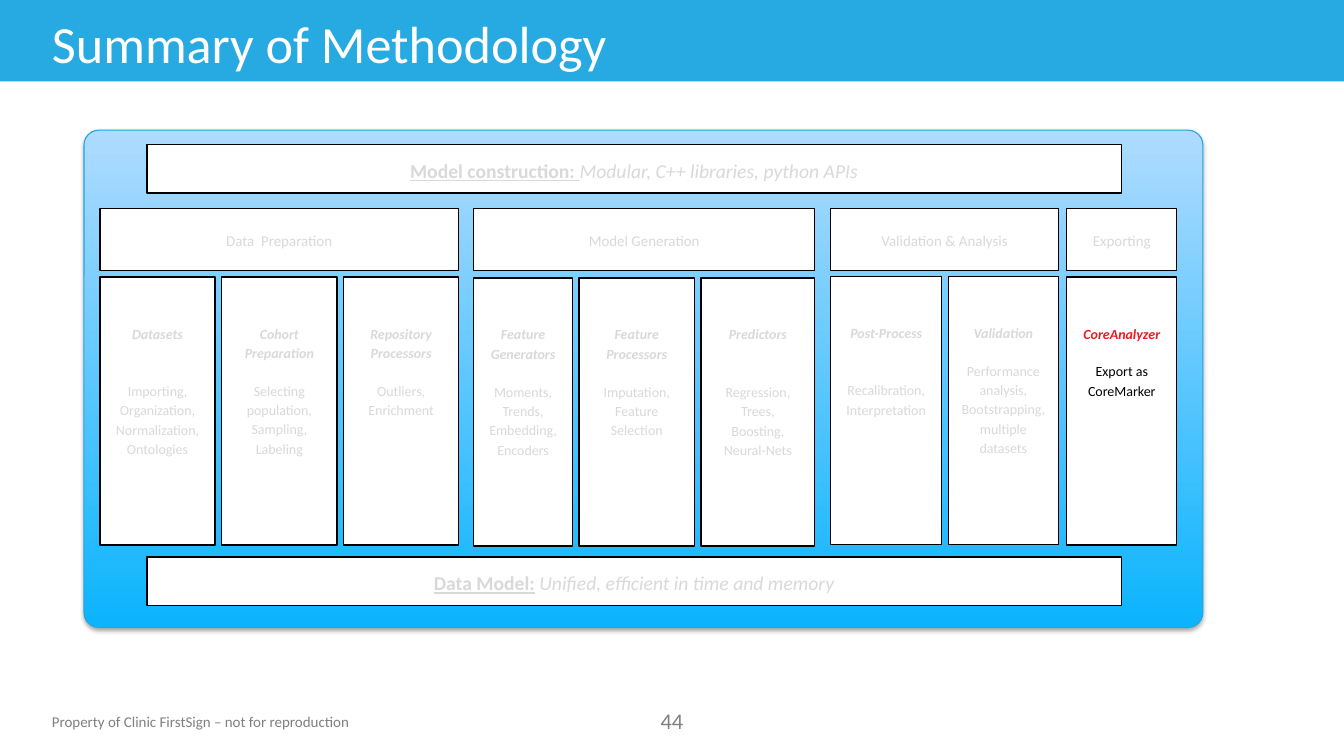
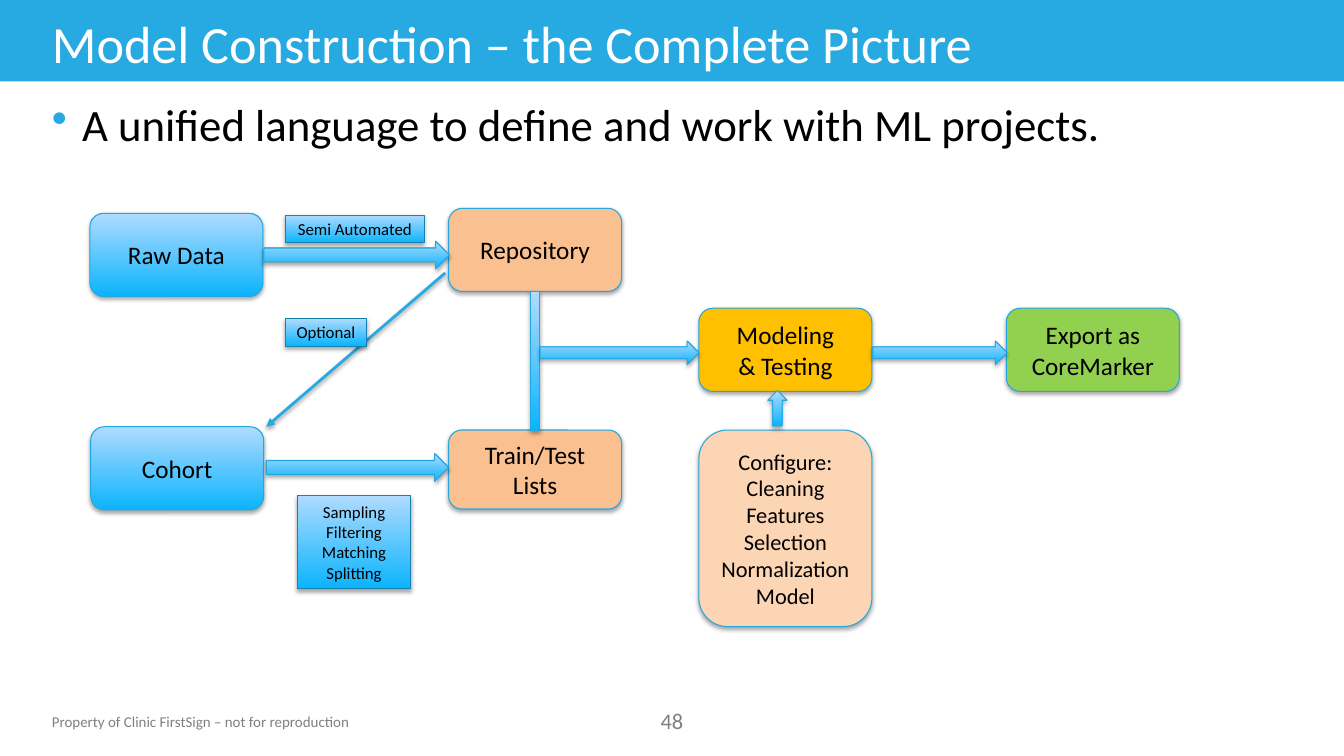
from lxml import etree
from pptx import Presentation
from pptx.dml.color import RGBColor
from pptx.enum.shapes import MSO_CONNECTOR, MSO_SHAPE
from pptx.enum.text import MSO_ANCHOR, PP_ALIGN
from pptx.oxml.ns import qn
from pptx.util import Emu, Inches, Pt

RECT, ROUND = MSO_SHAPE.RECTANGLE, MSO_SHAPE.ROUNDED_RECTANGLE
RIGHT, UP = MSO_SHAPE.RIGHT_ARROW, MSO_SHAPE.UP_ARROW
STRAIGHT = MSO_CONNECTOR.STRAIGHT
TOP, MIDDLE = MSO_ANCHOR.TOP, MSO_ANCHOR.MIDDLE
LEFT, CENTER = PP_ALIGN.LEFT, PP_ALIGN.CENTER

COLORS = {
    "band": "27A9E1", "edge": "22A7E1", "label_edge": "1881AE",
    "deep": "0BB4FD", "pale": "AFDBFF", "white": "FFFFFF", "black": "000000",
    "faded": "D9D9D9", "grey": "808080", "red": "ED1C24",
    "orange": "FAC090", "peach": "FCD5B5", "gold": "FFC000", "green": "92D050",
}
FONT = "Calibri"
GRID_COLS, GRID_ROWS = 160, 90
HEADING = {"bold": True, "italic": True}
LEAD = {"bold": True, "underline": True}
NOTE = {"italic": True}


class Deck:
    """Holds the style and the current slide, measured in grid cells."""

    def __init__(self):
        self.prs = Presentation()
        self.prs.slide_width, self.prs.slide_height = Inches(13.33), Inches(7.5)
        self.slide = None

    def x(self, cols):
        return Emu(round(cols * self.prs.slide_width / GRID_COLS))

    def y(self, rows):
        return Emu(round(rows * self.prs.slide_height / GRID_ROWS))

    def place(self, col, row, cols, rows):
        return self.x(col), self.y(row), self.x(cols), self.y(rows)

    def color(self, name):
        return RGBColor.from_string(COLORS[name])

    def new_slide(self, title, number):
        self.slide = self.prs.slides.add_slide(self.prs.slide_layouts[6])
        self.shape((0, 0, GRID_COLS, 9.7), fill="band")
        self.text((5, 84.2, 40, 3.4), "Property of Clinic FirstSign – not for reproduction",
                  10.7, "grey")
        self.text((75, 83.6, 10, 4.4), str(number), 16, "grey", align=CENTER)
        self.text((5, 0.7, 133.2, 8.8), title, 37.3, "white", anchor=MIDDLE)

    def set_text(self, tf, paragraphs, size, color, align=CENTER, anchor=MIDDLE, **spacing):
        tf.word_wrap = True
        tf.vertical_anchor = anchor
        for i, runs in enumerate(paragraphs):
            p = tf.paragraphs[0] if i == 0 else tf.add_paragraph()
            p.alignment = align
            for name, value in spacing.items():
                setattr(p, name, value)
            for text, fmt in runs:
                r = p.add_run()
                r.text = text
                r.font.color.rgb = self.color(color)
                for name, value in {"name": FONT, "size": Pt(size), **fmt}.items():
                    setattr(r.font, name, value)

    def text(self, box, text, size, color, align=LEFT, anchor=TOP):
        sp = self.slide.shapes.add_textbox(*self.place(*box))
        self.set_text(sp.text_frame, [[(text, {})]], size, color, align, anchor)
        return sp

    def bullet(self, box, text):
        p = self.text(box, text, 32, "black").text_frame.paragraphs[0]
        pPr = p._p.get_or_add_pPr()
        pPr.set("marL", str(Inches(0.3)))
        pPr.set("indent", str(-Inches(0.3)))
        clr = etree.SubElement(pPr, qn("a:buClr"))
        etree.SubElement(clr, qn("a:srgbClr"), val=COLORS["band"])
        etree.SubElement(pPr, qn("a:buChar"), char="•")

    def shadow(self, effects, alpha=35, dist=1.8):
        shdw = etree.SubElement(effects, qn("a:outerShdw"), blurRad=str(Pt(3.1)),
                                dist=str(Pt(dist)), dir="5400000", rotWithShape="0")
        clr = etree.SubElement(shdw, qn("a:srgbClr"), val=COLORS["black"])
        etree.SubElement(clr, qn("a:alpha"), val=str(alpha * 1000))

    def shape(self, box, kind=RECT, fill=None, edge=None, width=0.75, shadow=False):
        sp = self.slide.shapes.add_shape(kind, *self.place(*box))
        if fill:
            sp.fill.solid()
            sp.fill.fore_color.rgb = self.color(fill)
        else:
            sp.fill.gradient()
            sp.fill.gradient_angle = 90
            for stop, name, pos in zip(sp.fill.gradient_stops, ("deep", "pale"), (0, 1)):
                stop.color.rgb = self.color(name)
                stop.position = pos
        if edge:
            sp.line.color.rgb = self.color(edge)
            sp.line.width = Pt(width)
        else:
            sp.line.fill.background()
        sp.shadow.inherit = False
        if shadow:
            self.shadow(sp._element.spPr.find(qn("a:effectLst")))
        return sp

    def glossy(self, box, kind=ROUND, lines=(), size=18, fill=None, edge="edge"):
        sp = self.shape(box, kind, fill, edge, shadow=True)
        if lines:
            self.set_text(sp.text_frame, [[(line, {})] for line in lines], size, "black")
        return sp

    def frame(self, box):
        sp = self.shape(box, fill="white", edge="black", width=1)
        tf = sp.text_frame
        tf.margin_left = tf.margin_right = Inches(0.13)
        tf.margin_top = tf.margin_bottom = Inches(0.07)
        return tf

    def bar(self, box, runs, size):
        self.set_text(self.frame(box), [runs], size, "faded", line_spacing=1.15)

    def column(self, box, heading, body, gap, colors):
        tf = self.frame(box)
        tf.margin_top = Inches(0.45)
        self.set_text(tf, [[(heading, HEADING)], [(body, {})]], 10, colors[0],
                      anchor=TOP, line_spacing=1.15)
        first, last = tf.paragraphs
        first.space_after = Pt(gap)
        last.runs[0].font.color.rgb = self.color(colors[1])

    def arrow(self, start, end):
        cx = self.slide.shapes.add_connector(
            STRAIGHT, self.x(start[0]), self.y(start[1]), self.x(end[0]), self.y(end[1]))
        cx.line.color.rgb = self.color("band")
        cx.line.width = Pt(2)
        spPr = cx._element.spPr
        etree.SubElement(spPr.find(qn("a:ln")), qn("a:tailEnd"), type="triangle")
        self.shadow(etree.SubElement(spPr, qn("a:effectLst")), 38, 1.6)


def methodology(deck):
    near, far, gutter = 13.3, 27.3, 0.8
    faded = ("faded", "faded")
    groups = [
        ("Data  Preparation", 11.9, 33, faded, [
            (13.7, "Datasets", "Importing, Organization, Normalization, Ontologies", far),
            (13.7, "Cohort Preparation", "Selecting population, Sampling, Labeling", near),
            (13.7, "Repository Processors", "Outliers, Enrichment", near)]),
        ("Model Generation", 56.4, 33.1, faded, [
            (11.75, "Feature Generators", "Moments, Trends, Embedding, Encoders", near),
            (13.7, "Feature Processors", "Imputation, Feature Selection", near),
            (13.55, "Predictors", "Regression, Trees, Boosting, Neural-Nets", far)]),
        ("Validation & Analysis", 98.9, 32.9, faded, [
            (13.2, "Post-Process", "Recalibration, Interpretation", far),
            (13.1, "Validation",
             "Performance analysis, Bootstrapping, multiple datasets", near)]),
        ("Exporting", 127, 33, ("red", "black"), [
            (13.1, "CoreAnalyzer", "Export as CoreMarker", near)]),
    ]
    bars = [
        (17.2, "Model construction: ", "Modular, C++ libraries, python APIs"),
        (66.3, "Data Model:", " Unified, efficient in time and memory"),
    ]
    deck.new_slide("Summary of Methodology", 44)
    deck.glossy((10, 15.5, 133.2, 59.2)).adjustments[0] = 0.03
    for row, lead, note in bars:
        deck.bar((17.5, row, 116, 5.8), [(lead, LEAD), (note, NOTE)], 14)
    for name, col, row, colors, columns in groups:
        span = sum(c[0] for c in columns) + gutter * (len(columns) - 1)
        deck.bar((col, 24.8, span, 7.4), [(name, {})], 10.7)
        for cols, heading, body, gap in columns:
            deck.column((col, row, cols, 31.9), heading, body, gap, colors)
            col += cols + gutter


def complete_picture(deck):
    wide, tall = 20.6, 9.9
    steps = [
        (10.7, 25.4, tall, ["Raw Data"], 18, None),
        (53.4, 24.8, tall, ["Repository"], 18, "orange"),
        (10.8, 50.8, tall, ["Cohort"], 18, None),
        (53.4, 51.2, 9.4, ["Train/Test Lists"], 18, "orange"),
        (83.2, 36.7, tall, ["Modeling", "& Testing"], 18, "gold"),
        (119.8, 36.7, tall, ["Export as CoreMarker"], 18, "green"),
        (83.2, 51.2, 23.4, ["Configure:", "Cleaning", "Features", "Selection",
                            "Normalization", "Model"], 16, "peach"),
    ]
    labels = [
        ((34, 25.6, 16.5, 3.3), ["Semi Automated"]),
        ((34, 37.9, 9.6, 3.3), ["Optional"]),
        ((35.4, 59, 13.5, 11.1), ["Sampling", "Filtering", "Matching", "Splitting"]),
    ]
    flows = [
        (RIGHT, (31.4, 28.7, 22.1, 3.3)),
        (RIGHT, (31.7, 54, 21.7, 3.3)),
        (RECT, (63.1, 34.7, 1.1, 16.5)),
        (RIGHT, (64.3, 40.6, 18.9, 2.8)),
        (UP, (91.4, 46.5, 2.3, 4.2)),
        (RIGHT, (103.9, 40.6, 16, 2.8)),
    ]
    deck.new_slide("Model Construction – the Complete Picture", 48)
    deck.bullet((5, 10.9, 141.7, 9.5),
                "A unified language to define and work with ML projects.")
    for col, row, rows, lines, size, fill in steps:
        deck.glossy((col, row, wide, rows), ROUND, lines, size, fill)
    deck.arrow((53, 32.5), (31.7, 50.8))
    for box, lines in labels:
        deck.glossy(box, RECT, lines, 12, edge="label_edge")
    for kind, box in flows:
        deck.glossy(box, kind)


def main():
    deck = Deck()
    methodology(deck)
    complete_picture(deck)
    deck.prs.save("out.pptx")


if __name__ == "__main__":
    main()
